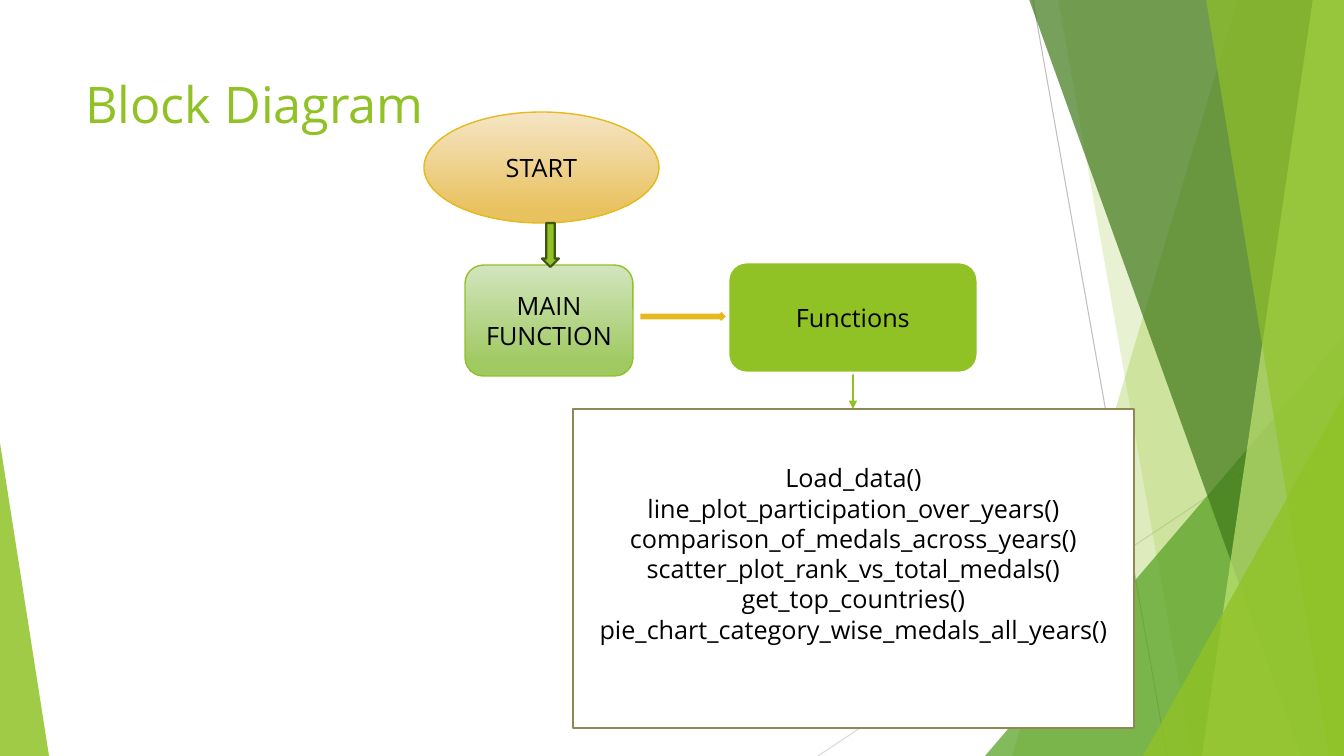
from lxml import etree
from pptx import Presentation
from pptx.dml.color import RGBColor
from pptx.enum.shapes import MSO_CONNECTOR, MSO_SHAPE
from pptx.enum.text import MSO_ANCHOR, MSO_AUTO_SIZE, PP_ALIGN
from pptx.oxml.ns import qn
from pptx.util import Pt

PX = 914400 / 100.8  # EMU in one px
WIDTH, HEIGHT = 1344, 756
TOP = -1
FONT = "Open Sans"

STRAIGHT = MSO_CONNECTOR.STRAIGHT
TRIANGLE = MSO_SHAPE.ISOSCELES_TRIANGLE
ELLIPSE = MSO_SHAPE.OVAL
ROUNDED = MSO_SHAPE.ROUNDED_RECTANGLE
RECTANGLE = MSO_SHAPE.RECTANGLE
RIGHT_ARROW = MSO_SHAPE.RIGHT_ARROW
DOWN_ARROW = MSO_SHAPE.DOWN_ARROW

BLACK = RGBColor(0x00, 0x00, 0x00)
WHITE = RGBColor(0xFF, 0xFF, 0xFF)
GREEN = RGBColor(0x90, 0xC2, 0x26)
MID_GREEN = RGBColor(0x54, 0xA0, 0x21)
DARK_GREEN = RGBColor(0x3F, 0x78, 0x19)
LIME = RGBColor(0xC0, 0xE4, 0x74)
ARROW_EDGE = RGBColor(0x3F, 0x55, 0x11)
GOLD = RGBColor(0xE6, 0xB9, 0x1E)
GOLD_FADE = (RGBColor(0xF5, 0xE5, 0xC5), RGBColor(0xE9, 0xC2, 0x60))
GREEN_FADE = (RGBColor(0xD3, 0xE5, 0xBE), RGBColor(0xA0, 0xC9, 0x62))
OLIVE = RGBColor(0x91, 0x86, 0x55)
GRAY = RGBColor(0xBF, 0xBF, 0xBF)
LIGHT_GRAY = RGBColor(0xD9, 0xD9, 0xD9)


def px(*lengths):
    return [round(length * PX) for length in lengths]


def add_line(start, end, color, width):
    connector = slide.shapes.add_connector(STRAIGHT, *px(*start, *end))
    connector.line.color.rgb = color
    connector.line.width = Pt(width)
    etree.SubElement(connector._element.spPr, qn("a:effectLst"))
    return connector


presentation = Presentation()
presentation.slide_width, presentation.slide_height = px(WIDTH, HEIGHT)
slide = presentation.slides.add_slide(presentation.slide_layouts[5])

# Thin lines behind the facets
add_line((1033, 0), (1167, HEIGHT), GRAY, 0.75)
add_line((WIDTH, 406), (818, HEIGHT), LIGHT_GRAY, 0.75)

# Translucent facets: bands give top and bottom x of their left edge,
# triangles give their box and the place of the apex
facets = [
    ("band", (1238, 1012), GREEN, 30),
    ("band", (1058, 1192), GREEN, 20),
    ("triangle", (985, 336, 359, 420, 1), MID_GREEN, 72),
    ("band", (1029, 1301), DARK_GREEN, 70),
    ("band", (1313, 1202), LIME, 70),
    ("band", (1206, 1329), GREEN, 65),
    ("triangle", (1143, 396, 201, 360, 1), GREEN, 80),
    ("triangle", (0, 443, 49, 313, 0), GREEN, 85),
]
for kind, geometry, color, opacity in facets:
    if kind == "band":
        top_x, bottom_x = geometry
        outline = slide.shapes.build_freeform(top_x, TOP, scale=PX)
        outline.add_line_segments(
            [(WIDTH, TOP), (WIDTH, HEIGHT), (bottom_x, HEIGHT)], close=True)
        shape = outline.convert_to_shape()
    else:
        *box, apex = geometry
        shape = slide.shapes.add_shape(TRIANGLE, *px(*box))
        shape.adjustments[0] = apex
    shape.shadow.inherit = False
    shape.line.fill.background()
    shape.fill.solid()
    shape.fill.fore_color.rgb = color
    color_element = shape._element.spPr.find(qn("a:solidFill")).find(qn("a:srgbClr"))
    etree.SubElement(color_element, qn("a:alpha"), val=str(opacity * 1000))

# Title, in front of the facets
title = slide.shapes.title
slide.shapes._spTree.append(title._element)
title.left, title.top, title.width, title.height = px(75, 68, 948, 145)
title.text_frame.auto_size = MSO_AUTO_SIZE.NONE
title.text_frame.vertical_anchor = MSO_ANCHOR.TOP
paragraph = title.text_frame.paragraphs[0]
paragraph.alignment = PP_ALIGN.LEFT
run = paragraph.add_run()
run.text = "Block Diagram"
run.font.name = FONT
run.font.size = Pt(36)
run.font.color.rgb = GREEN

# Arrow from the functions block to the list of functions
arrow = add_line((853, 373), (853, 409), GREEN, 1)
etree.SubElement(arrow.line._get_or_add_ln(), qn("a:tailEnd"), type="triangle")

# Blocks and block arrows: preset, box, fill, line colour, line width, text
function_names = [
    "Load_data()",
    "line_plot_participation_over_years()",
    "comparison_of_medals_across_years()",
    "scatter_plot_rank_vs_total_medals()",
    "get_top_countries()",
    "pie_chart_category_wise_medals_all_years()",
]
blocks = [
    (ELLIPSE, (424, 112, 235, 111), GOLD_FADE, GOLD, 1, ["START"]),
    (ROUNDED, (465, 265, 168, 111), GREEN_FADE, GREEN, 1, ["MAIN FUNCTION"]),
    (RIGHT_ARROW, (639, 308, 89, 17), GOLD, WHITE, 2, []),
    (ROUNDED, (728, 262, 250, 111), GREEN, WHITE, 2, ["Functions"]),
    (DOWN_ARROW, (542, 223, 17, 44), GREEN, ARROW_EDGE, 1.5, []),
    (RECTANGLE, (573, 409, 561, 319), WHITE, OLIVE, 1.5, function_names),
]
for preset, box, fill, line_color, line_width, texts in blocks:
    shape = slide.shapes.add_shape(preset, *px(*box))
    shape.shadow.inherit = False
    shape.line.color.rgb = line_color
    shape.line.width = Pt(line_width)
    if fill in (GOLD_FADE, GREEN_FADE):
        shape.fill.gradient()
        shape.fill.gradient_angle = 270
        for stop, color, position in zip(shape.fill.gradient_stops, fill, (0, 0.88)):
            stop.color.rgb = color
            stop.position = position
    else:
        shape.fill.solid()
        shape.fill.fore_color.rgb = fill

    frame = shape.text_frame
    frame.word_wrap = True
    frame.vertical_anchor = MSO_ANCHOR.MIDDLE
    if texts == function_names:
        frame.margin_bottom = px(35)[0]  # lifts the list above the middle
    for index, text in enumerate(texts):
        paragraph = frame.add_paragraph() if index else frame.paragraphs[0]
        paragraph.alignment = PP_ALIGN.CENTER
        run = paragraph.add_run()
        run.text = text
        run.font.name = FONT
        run.font.size = Pt(18)
        run.font.color.rgb = BLACK

presentation.save("out.pptx")
